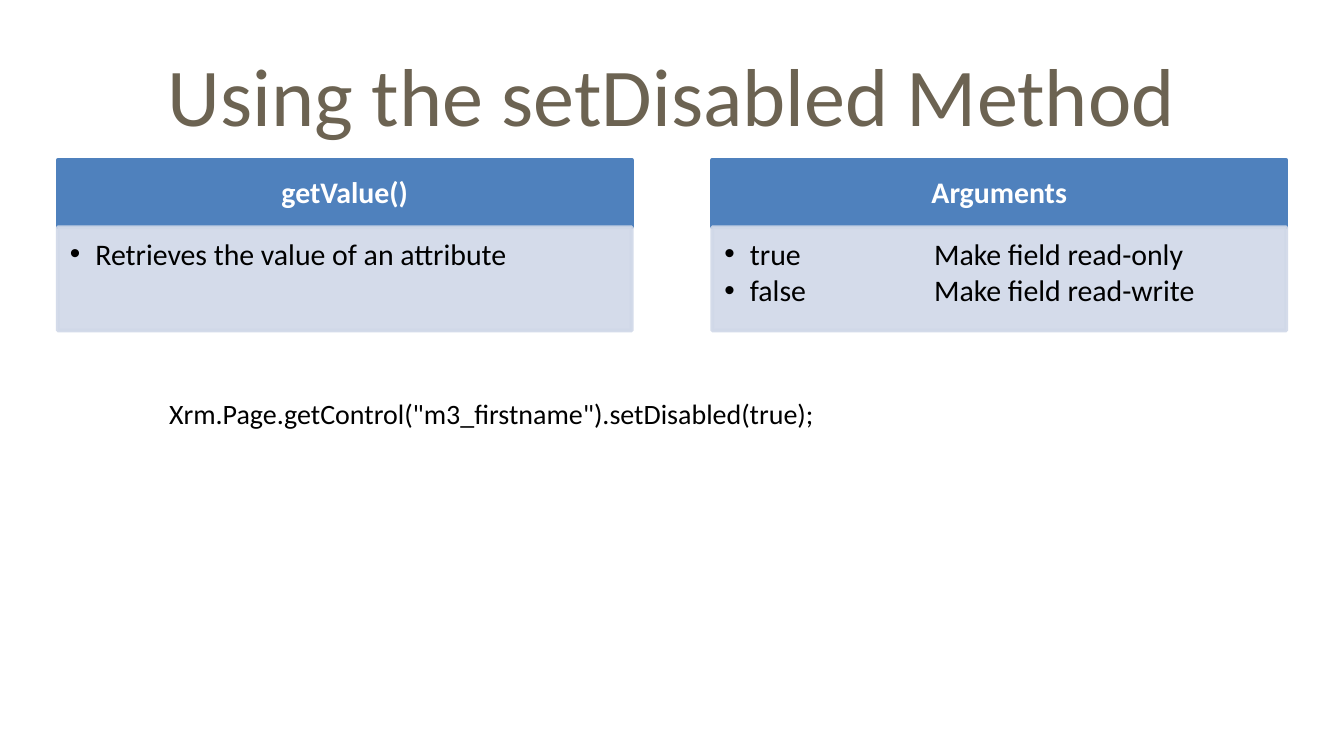
"""Build a slide explaining the setDisabled method and its arguments."""
from dataclasses import dataclass

from lxml import etree
from pptx import Presentation
from pptx.dml.color import RGBColor
from pptx.enum.text import MSO_ANCHOR, MSO_AUTO_SIZE, PP_ALIGN
from pptx.oxml.ns import qn
from pptx.util import Inches, Pt

CENTER, LEFT = PP_ALIGN.CENTER, PP_ALIGN.LEFT
MIDDLE, TOP = MSO_ANCHOR.MIDDLE, MSO_ANCHOR.TOP
FIXED = MSO_AUTO_SIZE.NONE
COMPARISON_LAYOUT = 4


@dataclass(frozen=True)
class Theme:
    font: str = "Calibri"
    title: str = "6C6352"
    header: str = "4F81BD"
    body: str = "D0D8E8"
    light: str = "FFFFFF"
    dark: str = "000000"
    title_size: int = 44
    panel_size: int = 16
    code_size: int = 15
    line_width: int = 2
    body_opacity: int = 90


@dataclass(frozen=True)
class Panel:
    heading: str
    items: tuple[str, ...]


THEME = Theme()
PANELS = (
    Panel("getValue()", ("Retrieves the value of an attribute",)),
    Panel("Arguments", ("true\t\tMake field read-only", "false\t\tMake field read-write")),
)
PANEL_LEFT, PANEL_TOP, PANEL_WIDTH, PANEL_STEP = 0.43, 1.19, 4.27, 4.87
HEADER_HEIGHT, BODY_HEIGHT = 0.5, 0.77
BULLET_INDENT, TAB_STEP = 0.19, 0.78


def place(box, left: float, top: float, width: float, height: float) -> None:
    """Move and size a box, in inches."""
    box.left, box.top = Inches(left), Inches(top)
    box.width, box.height = Inches(width), Inches(height)


def set_frame(box, anchor, insets: tuple[float, float, float, float]):
    """Fix the text frame of a box and return it."""
    frame = box.text_frame
    frame.word_wrap = True
    frame.auto_size = FIXED
    frame.vertical_anchor = anchor
    frame.margin_left, frame.margin_top, frame.margin_right, frame.margin_bottom = map(Inches, insets)
    return frame


def add_span(para, text: str, size: int, color: str, bold: bool = False) -> None:
    """Add one formatted run to a paragraph."""
    span = para.add_run()
    span.text = text
    span.font.name = THEME.font
    span.font.size = Pt(size)
    span.font.bold = bold
    span.font.color.rgb = RGBColor.from_string(color)


def paint(box, color: str, opacity: int = 100) -> None:
    """Give a box a fill and line of one colour and opacity."""
    box.fill.solid()
    box.line.width = Pt(THEME.line_width)
    box.line.fill.solid()
    for paint_format in (box.fill.fore_color, box.line.color):
        paint_format.rgb = RGBColor.from_string(color)
    if opacity < 100:
        for node in box.element.spPr.iter(qn("a:srgbClr")):
            etree.SubElement(node, qn("a:alpha"), val=str(opacity * 1000))


def add_bullet(para) -> None:
    """Set a hanging bullet and the tab step of a paragraph."""
    properties = para._p.get_or_add_pPr()
    properties.set("marL", str(Inches(BULLET_INDENT)))
    properties.set("indent", str(-Inches(BULLET_INDENT)))
    properties.set("defTabSz", str(Inches(TAB_STEP)))
    etree.SubElement(properties, qn("a:buFont"), typeface="Arial")
    etree.SubElement(properties, qn("a:buChar"), char="•")


def space(para, alignment, after: float) -> None:
    """Set the alignment and spacing of a panel paragraph."""
    para.alignment = alignment
    para.line_spacing = 0.9
    para.space_before = Pt(0)
    para.space_after = Pt(after)


def draw_panel(header, body, panel: Panel, left: float) -> None:
    """Fill a header and body placeholder pair with a panel."""
    place(header, left, PANEL_TOP, PANEL_WIDTH, HEADER_HEIGHT)
    paint(header, THEME.header)
    para = set_frame(header, MIDDLE, (0.12, 0.07, 0.12, 0.07)).paragraphs[0]
    space(para, CENTER, 0.35 * THEME.panel_size)
    add_span(para, panel.heading, THEME.panel_size, THEME.light, True)

    place(body, left, PANEL_TOP + HEADER_HEIGHT, PANEL_WIDTH, BODY_HEIGHT)
    paint(body, THEME.body, THEME.body_opacity)
    frame = set_frame(body, TOP, (0.09, 0.09, 0.12, 0.14))
    for index, item in enumerate(panel.items):
        para = frame.add_paragraph() if index else frame.paragraphs[0]
        add_bullet(para)
        space(para, LEFT, 0.15 * THEME.panel_size)
        add_span(para, item, THEME.panel_size, THEME.dark)


def main() -> None:
    """Build and save the deck."""
    deck = Presentation()
    deck.slide_width = Inches(10)
    deck.slide_height = deck.slide_width * 9 // 16
    page = deck.slides.add_slide(deck.slide_layouts[COMPARISON_LAYOUT])
    title, *boxes = page.placeholders

    place(title, 0.5, 0.23, 9, 0.94)
    para = set_frame(title, MIDDLE, (0.1, 0.05, 0.1, 0.05)).paragraphs[0]
    para.alignment = CENTER
    add_span(para, "Using the setDisabled Method", THEME.title_size, THEME.title)

    for index, (header, body, panel) in enumerate(zip(boxes[::2], boxes[1::2], PANELS)):
        draw_panel(header, body, panel, PANEL_LEFT + index * PANEL_STEP)

    code = page.shapes.add_textbox(Inches(1.16), Inches(2.9), Inches(7.68), Inches(0.61))
    para = set_frame(code, TOP, (0.1, 0.05, 0.1, 0.05)).paragraphs[0]
    add_span(para, 'Xrm.Page.getControl("m3_firstname").setDisabled(true);', THEME.code_size, THEME.dark)

    deck.save("out.pptx")


if __name__ == "__main__":
    main()
